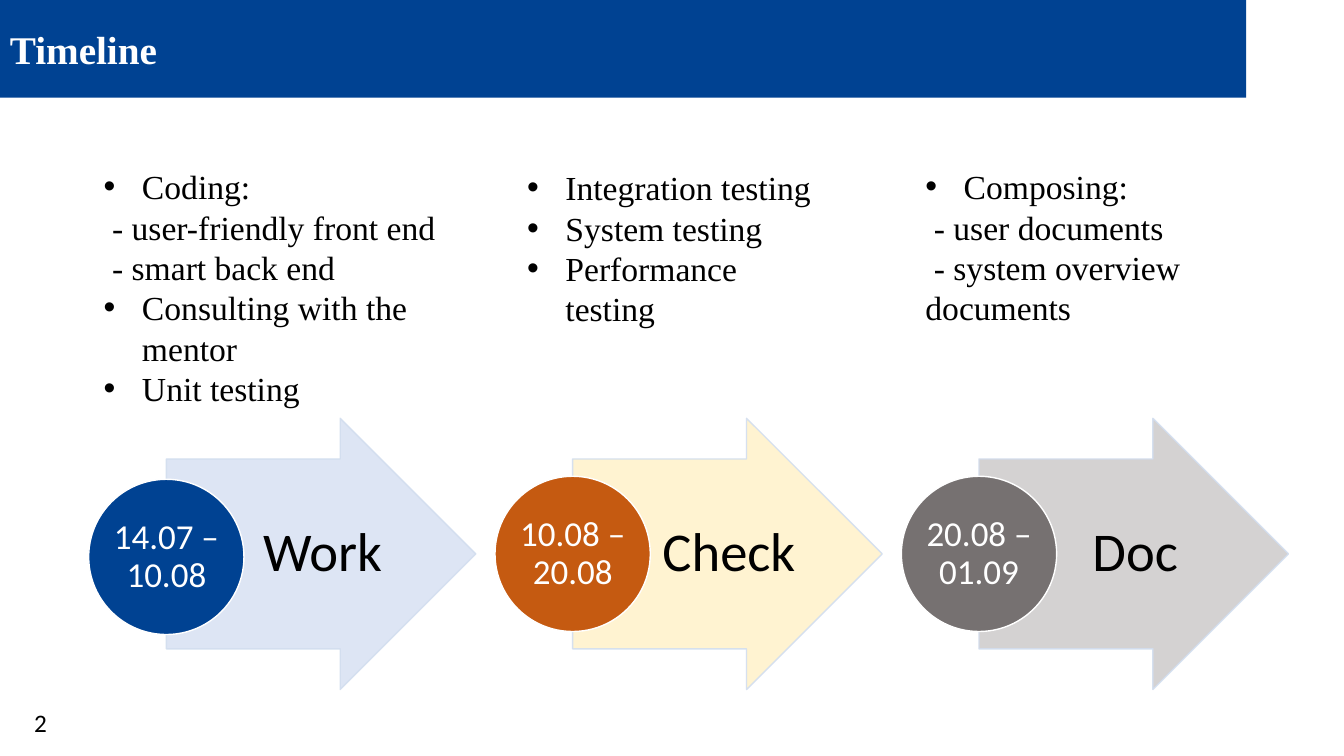
from lxml.etree import SubElement
from pptx import Presentation
from pptx.dml.color import RGBColor
from pptx.enum.shapes import MSO_SHAPE
from pptx.enum.text import MSO_ANCHOR, PP_ALIGN
from pptx.oxml.ns import qn
from pptx.util import Inches, Pt

# Content: a "*" marks a bulleted line
SERIF, SANS = "Times New Roman", "Calibri"
TITLE, NUMBER = "Timeline", "2"
STAGES = [
    dict(name="Work", dates="14.07 – 10.08", arrow="DAE3F3", disc="004292", drop=0.03),
    dict(name="Check", dates="10.08 – 20.08", arrow="FFF2CC", disc="C55A11", drop=0),
    dict(name="Doc", dates="20.08 – 01.09", arrow="D0CECE", disc="767171", drop=0),
]
NOTES = [
    ((0.93, 1.6, 4.19, 2.12), ["*Coding:", " - user-friendly front end", " - smart back end",
                               "*Consulting with the mentor", "*Unit testing"]),
    ((5.13, 1.61, 3.21, 1.72), ["*Integration testing", "*System testing",
                                "*Performance testing"]),
    ((9.08, 1.6, 4.15, 1.31), ["*Composing:", " - user documents",
                               " - system overview documents"]),
]

# Stage layout
LEFT, STEP, TOP = 1.65, 4.03, 4.15
WIDE, HIGH = 3.07, 2.69
DISC, DATE = 1.54, 1.09


def paint(color, hue, alpha=None):
    color.rgb = RGBColor.from_string(hue)
    if alpha:
        node = color._xFill.find(qn("a:srgbClr"))
        SubElement(node, qn("a:alpha"), val=str(alpha * 1000))


def draw(kind, box, fill, line=None, alpha=None):
    shape = slide.shapes.add_shape(kind, *map(Inches, box))
    shape.shadow.inherit = False
    shape.fill.solid()
    paint(shape.fill.fore_color, fill, alpha)
    if line:
        shape.line.fill.solid()
        paint(shape.line.fill.fore_color, line, alpha)
        shape.line.width = Pt(1)
    else:
        shape.line.fill.background()
    return shape


def frame(shape, pads=(0.1, 0.05, 0.1, 0.05), anchor=MSO_ANCHOR.TOP, wrap=True):
    body = shape.text_frame
    body.word_wrap = wrap
    body.vertical_anchor = anchor
    (body.margin_left, body.margin_top,
     body.margin_right, body.margin_bottom) = map(Inches, pads)
    return body


def text(box, **opts):
    return frame(slide.shapes.add_textbox(*map(Inches, box)), **opts)


def write(para, words, size, font, hue="000000", bold=False, align=PP_ALIGN.LEFT):
    para.alignment = align
    run = para.add_run()
    run.text = words
    run.font.size, run.font.name, run.font.bold = Pt(size), font, bold
    paint(run.font.color, hue)


def label(box, words, size, hue, pads):
    para = text(box, pads=pads, anchor=MSO_ANCHOR.MIDDLE).paragraphs[0]
    para.line_spacing = 0.9
    write(para, words, size, SANS, hue, align=PP_ALIGN.CENTER)


def bullet(para):
    props = para._p.get_or_add_pPr()
    props.set("marL", str(Inches(0.38)))
    props.set("indent", str(-Inches(0.38)))
    SubElement(props, qn("a:buFont"), typeface="Arial")
    SubElement(props, qn("a:buChar"), char="•")


deck = Presentation()
deck.slide_width, deck.slide_height = Inches(13.33), Inches(7.5)
slide = deck.slides.add_slide(deck.slide_layouts[6])

# Title bar and slide number
bar = draw(MSO_SHAPE.RECTANGLE, (0, 0, 12.36, 0.97), "004292")
write(frame(bar, anchor=MSO_ANCHOR.MIDDLE).paragraphs[0], TITLE, 28, SERIF, "FFFFFF", True)
write(text((0.24, 6.97, 0.33, 0.4), wrap=False).paragraphs[0], NUMBER, 18, SANS)

# Stages: arrow, name, disc, dates
for i, stage in enumerate(STAGES):
    x = LEFT + i * STEP
    arrow = draw(MSO_SHAPE.RIGHT_ARROW, (x, TOP, WIDE, HIGH), stage["arrow"], "D2DEEF", 90)
    arrow.adjustments[0], arrow.adjustments[1] = 0.7, 0.5
    label((x + DISC / 2, TOP + 0.15 * HIGH, 1.5, 0.7 * HIGH), stage["name"], 39, "000000",
          (0.11, 0.03, 0.05, 0.03))
    y = TOP + (HIGH - DISC) / 2 + stage["drop"]
    draw(MSO_SHAPE.OVAL, (x - DISC / 2, y, DISC, DISC), stage["disc"], "FFFFFF")
    gap = (DISC - DATE) / 2
    label((x - DATE / 2, y + gap, DATE, DATE), stage["dates"], 25, "FFFFFF", (0.02,) * 4)

# Notes above the stages
for box, lines in NOTES:
    body = text(box, pads=(0.1, 0.05, 0.15, 0.05))
    for i, line in enumerate(lines):
        para = body.add_paragraph() if i else body.paragraphs[0]
        if line.startswith("*"):
            bullet(para)
        write(para, line.lstrip("*"), 24, SERIF)

deck.save("out.pptx")
